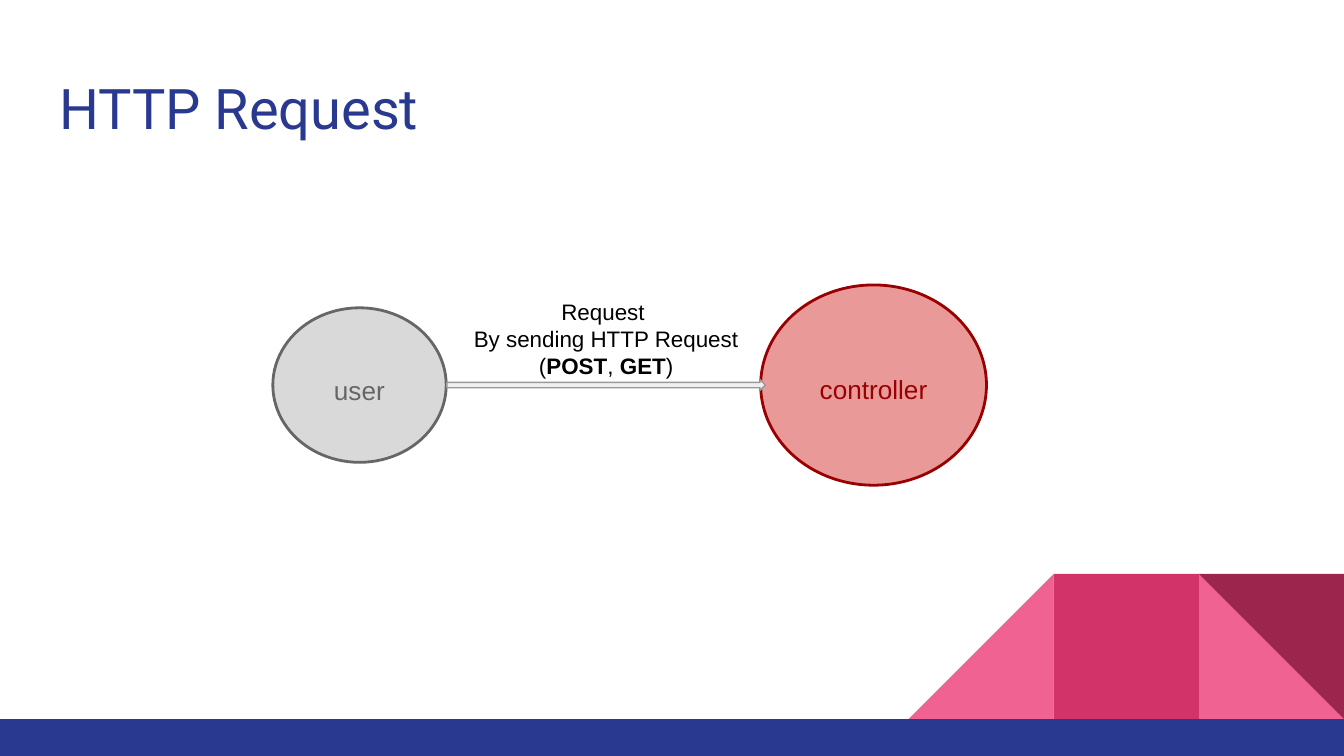
import pptx
import pptx.util
import pptx.dml.color
import pptx.enum.shapes
import pptx.enum.text

Inches = pptx.util.Inches
Pt = pptx.util.Pt
RGBColor = pptx.dml.color.RGBColor
MSO_SHAPE = pptx.enum.shapes.MSO_SHAPE
MSO_ANCHOR = pptx.enum.text.MSO_ANCHOR
PP_ALIGN = pptx.enum.text.PP_ALIGN

BLUE = RGBColor(0x2A, 0x39, 0x90)
PINK = RGBColor(0xF0, 0x62, 0x92)
CRIMSON = RGBColor(0xD2, 0x33, 0x69)
WINE = RGBColor(0x9C, 0x25, 0x4D)
ROSE = RGBColor(0xEA, 0x99, 0x99)
DARK_RED = RGBColor(0x99, 0x00, 0x00)
SILVER = RGBColor(0xD9, 0xD9, 0xD9)
DARK_GRAY = RGBColor(0x66, 0x66, 0x66)
PALE_GRAY = RGBColor(0xEF, 0xEF, 0xEF)
MID_GRAY = RGBColor(0x99, 0x99, 0x99)
BLACK = RGBColor(0, 0, 0)

WIDTH = 10
HEIGHT = WIDTH * 9 / 16
TITLE = "HTTP Request"
TILE = 1.08
BAR_TOP = 5.35
TILES = [
    (1, MSO_SHAPE.RIGHT_TRIANGLE, 0, PINK),
    (3, MSO_SHAPE.RIGHT_TRIANGLE, 270, PINK),
    (2, MSO_SHAPE.RECTANGLE, 0, CRIMSON),
    (1, MSO_SHAPE.RIGHT_TRIANGLE, 180, WINE),
]
NODES = [
    ("controller", (5.66, 2.12, 1.68, 1.49), (5.88, 2.77, 1.24, 0.25), ROSE, DARK_RED),
    ("user", (2.03, 2.29, 1.29, 1.15), (2.31, 2.83, 0.73, 0.15), SILVER, DARK_GRAY),
]
ARROW_BOX = (4.47, 1.68, 0.08, 2.37)
MESSAGE_BOX = (3.2, 2.12, 2.62, 0.25)
MESSAGE = [
    [("Request ", False)],
    [("By sending HTTP Request (", False), ("POST", True), (", ", False),
     ("GET", True), (")", False)],
]


def add_shape(slide, kind, box, fill, line=None, weight=1.5, rotation=0):
    sp = slide.shapes.add_shape(kind, *map(Inches, box))
    sp.shadow.inherit = False
    sp.rotation = rotation
    sp.fill.solid()
    sp.fill.fore_color.rgb = fill
    if line is None:
        sp.line.fill.background()
    else:
        sp.line.color.rgb = line
        sp.line.width = Pt(weight)
    return sp


def set_frame(tf, anchor):
    tf.word_wrap = True
    tf.auto_size = pptx.enum.text.MSO_AUTO_SIZE.NONE
    tf.vertical_anchor = anchor
    tf.margin_left = tf.margin_right = Inches(0.1)
    tf.margin_top = tf.margin_bottom = Inches(0.1)


def set_font(r, name, size, color, bold=False):
    r.font.name = name
    r.font.size = Pt(size)
    r.font.color.rgb = color
    r.font.bold = bold


def add_text(slide, box, paragraphs, size, color, anchor):
    tf = slide.shapes.add_textbox(*map(Inches, box)).text_frame
    set_frame(tf, anchor)
    for i, runs in enumerate(paragraphs):
        p = tf.add_paragraph() if i else tf.paragraphs[0]
        p.alignment = PP_ALIGN.CENTER
        for text, bold in runs:
            r = p.add_run()
            r.text = text
            set_font(r, "Arial", size, color, bold)


def main():
    prs = pptx.Presentation()
    prs.slide_width, prs.slide_height = Inches(WIDTH), Inches(HEIGHT)
    slide = prs.slides.add_slide(prs.slide_layouts[5])

    for steps, kind, rotation, fill in TILES:
        box = (WIDTH - steps * TILE, BAR_TOP - TILE, TILE, TILE)
        add_shape(slide, kind, box, fill, rotation=rotation)
    add_shape(slide, MSO_SHAPE.RECTANGLE, (0, BAR_TOP, WIDTH, HEIGHT - BAR_TOP), BLUE)

    title = slide.shapes.title
    title.left, title.top = Inches(0.34), Inches(0.45)
    title.width, title.height = Inches(9.32), Inches(0.66)
    tf = title.text_frame
    tf.text = TITLE
    set_frame(tf, MSO_ANCHOR.TOP)
    p = tf.paragraphs[0]
    p.alignment = PP_ALIGN.LEFT
    set_font(p.runs[0], "Roboto", 30, BLUE)

    for name, circle, label, fill, color in NODES:
        add_shape(slide, MSO_SHAPE.OVAL, circle, fill, color)
        add_text(slide, label, [[(name, False)]], 14, color, MSO_ANCHOR.MIDDLE)

    add_shape(slide, MSO_SHAPE.UP_ARROW, ARROW_BOX, PALE_GRAY, MID_GRAY, 0.75, 90)
    add_text(slide, MESSAGE_BOX, MESSAGE, 12, BLACK, MSO_ANCHOR.TOP)

    prs.save("out.pptx")


if __name__ == "__main__":
    main()
